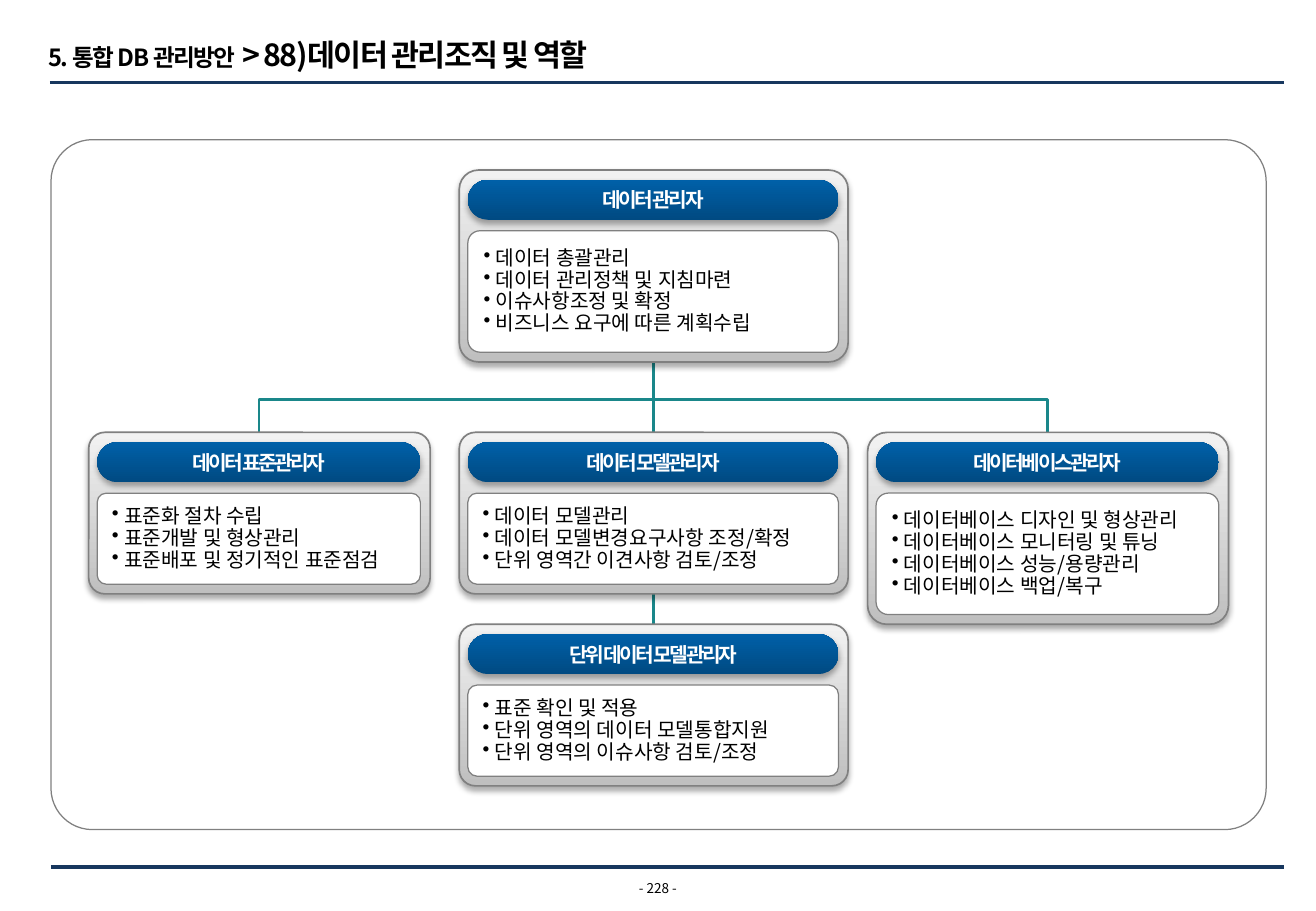
from dataclasses import dataclass

from lxml.etree import SubElement
from pptx import Presentation
from pptx.dml.color import RGBColor
from pptx.enum.shapes import MSO_CONNECTOR, MSO_SHAPE
from pptx.enum.text import MSO_ANCHOR, MSO_AUTO_SIZE, PP_ALIGN
from pptx.oxml.ns import qn
from pptx.util import Pt

PX = 9144


@dataclass(frozen=True)
class Theme:
    font: str = "Noto Sans CJK KR"
    black: str = "000000"
    white: str = "FFFFFF"
    rule: str = "17375E"
    outline: str = "808080"
    link: str = "1A878A"
    card: tuple = ("BFBFBF", "F2F2F2")
    header: tuple = ("004A82", "0060A8")
    section_size: int = 14
    title_size: int = 18
    text_size: int = 12
    page_size: int = 8


@dataclass(frozen=True)
class Role:
    left: int
    top: int
    width: int
    name: str
    duties: tuple
    body_height: int

    @property
    def center(self):
        return self.left + self.width // 2

    @property
    def bottom(self):
        return self.top + self.body_height + 58


THEME = Theme()
MANAGER = Role(378, 140, 320, "데이터 관리자", (
    "데이터 총괄관리", "데이터 관리정책 및 지침마련",
    "이슈사항조정 및 확정", "비즈니스 요구에 따른 계획수립"), 100)
MODEL = Role(378, 356, 320, "데이터 모델관리자", (
    "데이터 모델관리", "데이터 모델변경요구사항 조정/확정",
    "단위 영역간 이견사항 검토/조정"), 75)
UNIT = Role(378, 514, 320, "단위 데이터 모델관리자", (
    "표준 확인 및 적용", "단위 영역의 데이터 모델통합지원",
    "단위 영역의 이슈사항 검토/조정"), 75)
STANDARD = Role(73, 356, 281, "데이터 표준관리자", (
    "표준화 절차 수립", "표준개발 및 형상관리",
    "표준배포 및 정기적인 표준점검"), 75)
DATABASE = Role(714, 356, 297, "데이터베이스관리자", (
    "데이터베이스 디자인 및 형상관리", "데이터베이스 모니터링 및 튜닝",
    "데이터베이스 성능/용량관리", "데이터베이스 백업/복구"), 100)


def apply_format(target, **values):
    for name, value in values.items():
        setattr(target, name, value)


def color(value):
    return RGBColor.from_string(value)


def format_frame(frame, anchor=MSO_ANCHOR.MIDDLE, left=0, top=0):
    apply_format(frame, margin_left=left * PX, margin_top=top * PX, margin_right=0,
                 margin_bottom=0, vertical_anchor=anchor, word_wrap=True,
                 auto_size=MSO_AUTO_SIZE.NONE)


def add_span(para, text, size, ink=THEME.black, bold=False, spacing=0):
    span = para.add_run()
    span.text = text
    apply_format(span.font, size=Pt(size), bold=bold, name=THEME.font)
    span.font.color.rgb = color(ink)
    properties = span._r.get_or_add_rPr()
    properties.set("spc", str(spacing))
    SubElement(properties, qn("a:ea"), typeface=THEME.font)


def add_line(page, start, end, ink, weight):
    line = page.shapes.add_connector(
        MSO_CONNECTOR.STRAIGHT, *(value * PX for value in (*start, *end)))
    line.line.color.rgb = color(ink)
    line.line.width = Pt(weight)
    SubElement(line._element.spPr, qn("a:effectLst"))


def add_bracket(page, points):
    builder = page.shapes.build_freeform(*points[0], scale=PX)
    builder.add_line_segments(points[1:], close=False)
    bracket = builder.convert_to_shape()
    bracket.shadow.inherit = False
    bracket.fill.background()
    bracket.line.color.rgb = color(THEME.link)
    bracket.line.width = Pt(1.5)


def add_rounded(page, left, top, width, height, corner, fill, weight=0):
    box = page.shapes.add_shape(
        MSO_SHAPE.ROUNDED_RECTANGLE, *(value * PX for value in (left, top, width, height)))
    box.adjustments[0] = corner
    box.shadow.inherit = False
    if isinstance(fill, tuple):
        box.fill.gradient()
        box.fill.gradient_angle = 90
        for stop, tone in zip(box.fill.gradient_stops, fill):
            stop.color.rgb = color(tone)
    else:
        box.fill.solid()
        box.fill.fore_color.rgb = color(fill)
    if weight:
        box.line.color.rgb = color(THEME.outline)
        box.line.width = Pt(weight)
    else:
        box.line.fill.background()
    format_frame(box.text_frame)
    return box


def add_shadow(box):
    effects = box._element.spPr.find(qn("a:effectLst"))
    shadow = SubElement(effects, qn("a:outerShdw"), blurRad=str(Pt(3.5)),
                        dist=str(Pt(2.2)), dir="5400000", algn="t", rotWithShape="0")
    tone = SubElement(shadow, qn("a:srgbClr"), val=THEME.black)
    SubElement(tone, qn("a:alpha"), val="32000")


def add_duties(frame, duties):
    for index, duty in enumerate(duties):
        para = frame.add_paragraph() if index else frame.paragraphs[0]
        apply_format(para, alignment=PP_ALIGN.LEFT, line_spacing=0.9)
        properties = para._p.get_or_add_pPr()
        properties.set("marL", str(20 * PX))
        properties.set("indent", str(-10 * PX))
        SubElement(properties, qn("a:buChar"), char="•")
        add_span(para, duty, THEME.text_size)


def add_role(page, role):
    left, width = role.left + 7, role.width - 15
    card = add_rounded(page, role.left, role.top, role.width, role.bottom - role.top,
                       0.1, THEME.card, 1)
    header = add_rounded(page, left, role.top + 8, width, 33, 0.5, THEME.header)
    for box in (card, header):
        add_shadow(box)
    para = header.text_frame.paragraphs[0]
    para.alignment = PP_ALIGN.CENTER
    add_span(para, role.name, THEME.text_size, THEME.white, True, -150)
    body = add_rounded(page, left, role.top + 50, width, role.body_height,
                       0.1, THEME.white, 0.75)
    add_duties(body.text_frame, role.duties)


def add_title(page):
    title = page.shapes.title
    apply_format(title, left=20 * PX, top=14 * PX, width=802 * PX, height=46 * PX)
    format_frame(title.text_frame, MSO_ANCHOR.TOP, 20, 16)
    para = title.text_frame.paragraphs[0]
    para.alignment = PP_ALIGN.LEFT
    add_span(para, "5. 통합 DB 관리방안", THEME.section_size, bold=True, spacing=-100)
    add_span(para, " > 88)데이터 관리조직 및 역할", THEME.title_size, bold=True, spacing=-100)


def add_page_number(page):
    box = page.shapes.add_textbox(508 * PX, 725 * PX, 67 * PX, 13 * PX)
    format_frame(box.text_frame)
    para = box.text_frame.paragraphs[0]
    para.alignment = PP_ALIGN.CENTER
    add_span(para, "- 228 -", THEME.page_size)


def main():
    deck = Presentation()
    apply_format(deck, slide_width=1083 * PX, slide_height=750 * PX)
    page = deck.slides.add_slide(deck.slide_layouts[5])
    add_title(page)
    for left, top in ((41, 68), (42, 714)):
        add_line(page, (left, top), (1057, top), THEME.rule, 2.25)
    add_page_number(page)
    add_rounded(page, 42, 115, 1000, 568, 0.06, THEME.white, 0.75)
    add_bracket(page, [(STANDARD.center, STANDARD.top), (STANDARD.center, 329),
                       (DATABASE.center, 329), (DATABASE.center, DATABASE.top)])
    for upper, lower in ((MANAGER, MODEL), (MODEL, UNIT)):
        add_line(page, (upper.center, upper.bottom), (lower.center, lower.top), THEME.link, 1.5)
    for role in (MANAGER, MODEL, UNIT, STANDARD, DATABASE):
        add_role(page, role)
    deck.save("out.pptx")


if __name__ == "__main__":
    main()
